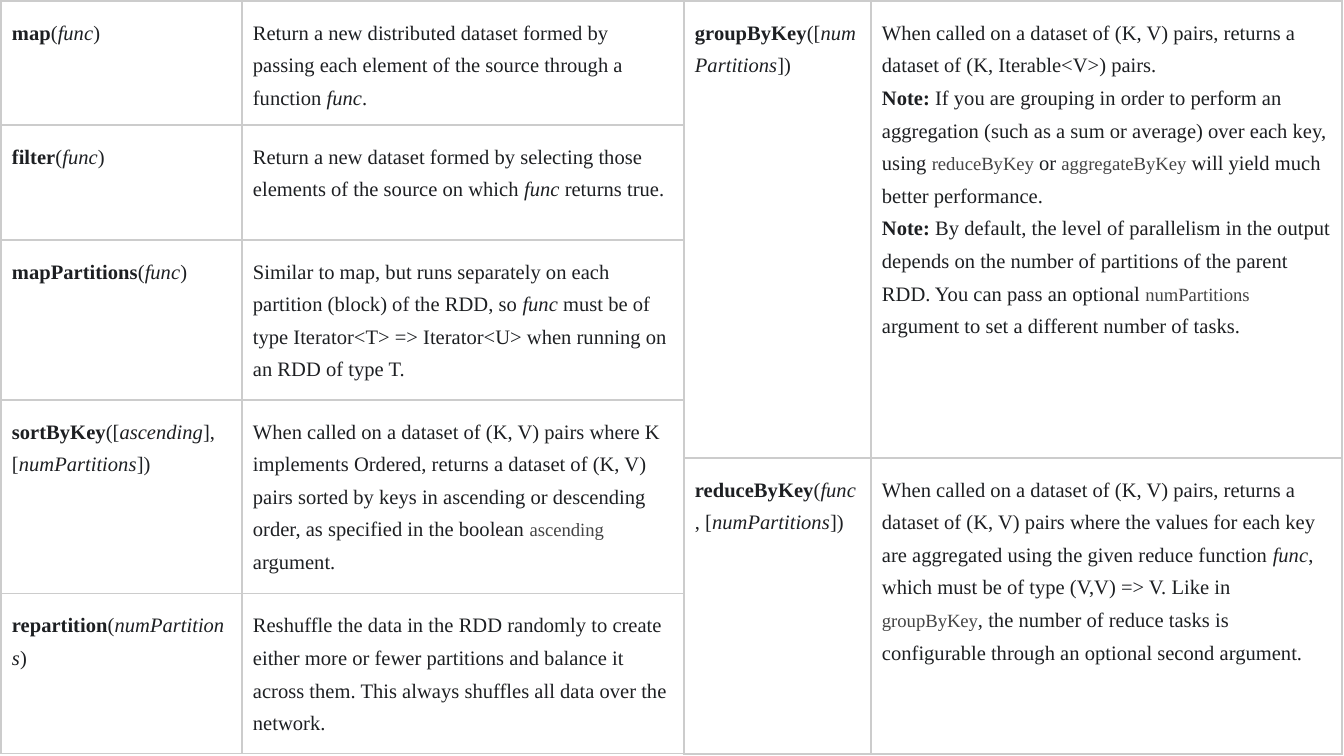
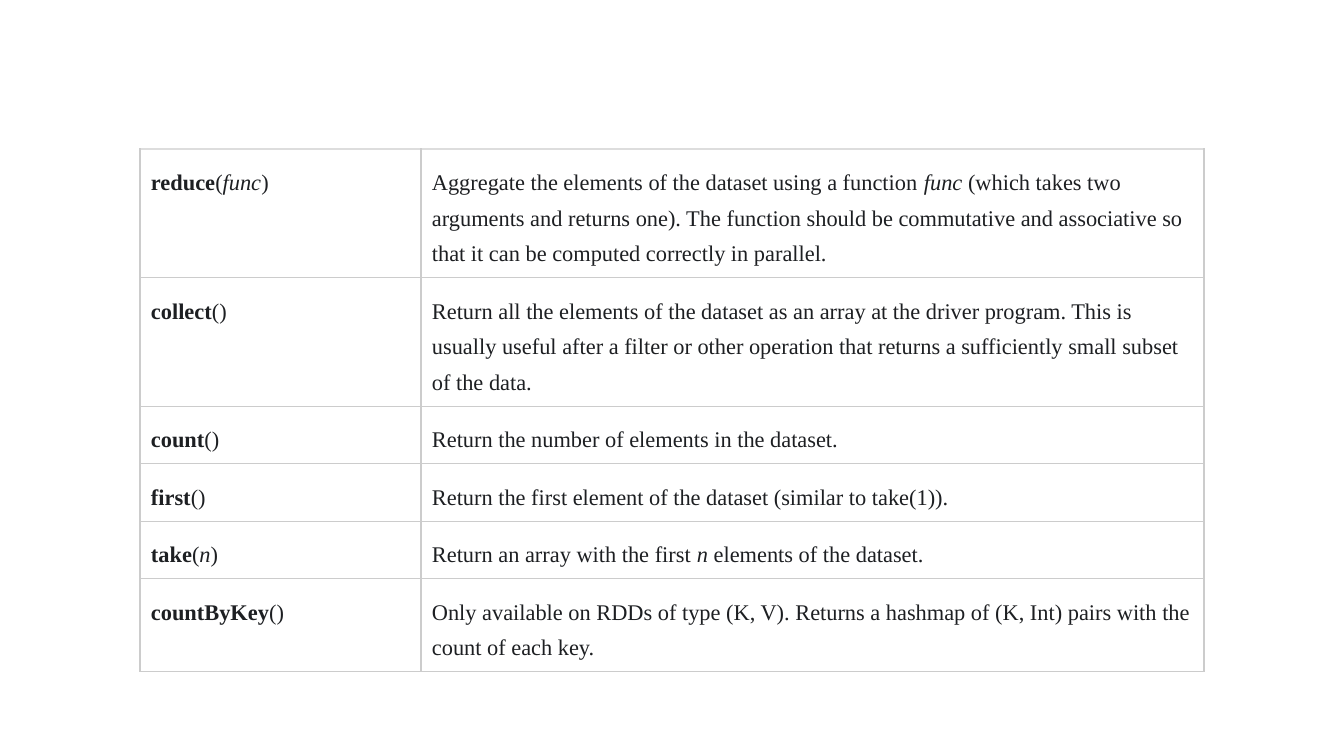
import lxml.etree
import pptx
import pptx.dml.color
import pptx.oxml.ns
import pptx.util

PX = 914400 / 134.4
FONT = "Times New Roman"
COLORS = {"text": "1D1F22", "code": "444444", "border": "CCCCCC", "top": "DDDDDD"}
MARKS = {"*": "bold", "_": "italic", "`": "code"}
CELL_MARGIN = 11
LINE_SPACING = 1.43
BORDER_POINTS = 0.75

# In the texts, * marks bold, _ italic and ` code.
BASIC_TRANSFORMS = [
    ("*map*(_func_)",
     "Return a new distributed dataset formed by passing each element of the source "
     "through a function _func_."),
    ("*filter*(_func_)",
     "Return a new dataset formed by selecting those elements of the source on which "
     "_func_ returns true."),
    ("*mapPartitions*(_func_)",
     "Similar to map, but runs separately on each partition (block) of the RDD, so "
     "_func_ must be of type Iterator<T> => Iterator<U> when running on an RDD of type T."),
    ("*sortByKey*([_ascending_], [_numPartitions_])",
     "When called on a dataset of (K, V) pairs where K implements Ordered, returns a "
     "dataset of (K, V) pairs sorted by keys in ascending or descending order, as "
     "specified in the boolean `ascending` argument."),
    ("*repartition*(_numPartitions_)",
     "Reshuffle the data in the RDD randomly to create either more or fewer partitions "
     "and balance it across them. This always shuffles all data over the network."),
]
KEY_TRANSFORMS = [
    ("*groupByKey*([_numPartitions_])",
     "When called on a dataset of (K, V) pairs, returns a dataset of (K, Iterable<V>) "
     "pairs.\n"
     "*Note:* If you are grouping in order to perform an aggregation (such as a sum or "
     "average) over each key, using `reduceByKey` or `aggregateByKey` will yield much "
     "better performance.\n"
     "*Note:* By default, the level of parallelism in the output depends on the number "
     "of partitions of the parent RDD. You can pass an optional `numPartitions` argument "
     "to set a different number of tasks."),
    ("*reduceByKey*(_func_, [_numPartitions_])",
     "When called on a dataset of (K, V) pairs, returns a dataset of (K, V) pairs where "
     "the values for each key are aggregated using the given reduce function _func_, "
     "which must be of type (V,V) => V. Like in `groupByKey`, the number of reduce tasks "
     "is configurable through an optional second argument."),
]
ACTIONS = [
    ("*reduce*(_func_)",
     "Aggregate the elements of the dataset using a function _func_ (which takes two "
     "arguments and returns one). The function should be commutative and associative so "
     "that it can be computed correctly in parallel."),
    ("*collect*()",
     "Return all the elements of the dataset as an array at the driver program. This is "
     "usually useful after a filter or other operation that returns a sufficiently small "
     "subset of the data."),
    ("*count*()", "Return the number of elements in the dataset."),
    ("*first*()", "Return the first element of the dataset (similar to take(1))."),
    ("*take*(_n_)", "Return an array with the first _n_ elements of the dataset."),
    ("*countByKey*()",
     "Only available on RDDs of type (K, V). Returns a hashmap of (K, Int) pairs with "
     "the count of each key."),
]


def px(length):
    return pptx.util.Emu(round(length * PX))


def split_marks(text):
    """Yield (span text, style) pairs from marked text."""
    style, start = "plain", 0
    for index, letter in enumerate(text):
        if letter in MARKS:
            if index > start:
                yield text[start:index], style
            style = MARKS[letter] if style == "plain" else "plain"
            start = index + 1
    if start < len(text):
        yield text[start:], style


def write_text(frame, text, *, size, color="text", spacing=LINE_SPACING):
    for index, line in enumerate(text.split("\n")):
        para = frame.add_paragraph() if index else frame.paragraphs[0]
        para.line_spacing = spacing
        for words, style in split_marks(line):
            span = para.add_run()
            span.text = words
            font = span.font
            font.name = FONT
            font.size = pptx.util.Pt(size - 1 if style == "code" else size)
            font.bold = style == "bold"
            font.italic = style == "italic"
            shade = COLORS["code" if style == "code" else color]
            font.color.rgb = pptx.dml.color.RGBColor.from_string(shade)


def set_borders(cell, top):
    properties = cell._tc.get_or_add_tcPr()
    qn = pptx.oxml.ns.qn
    for side in "LRTB":
        line = lxml.etree.SubElement(properties, qn(f"a:ln{side}"))
        line.set("w", str(pptx.util.Pt(BORDER_POINTS)))
        fill = lxml.etree.SubElement(line, qn("a:solidFill"))
        color = COLORS[top if side == "T" else "border"]
        lxml.etree.SubElement(fill, qn("a:srgbClr")).set("val", color)


def add_function_table(page, entries, box, columns, rows, *, size, top="border"):
    """Place a two-column table of signatures and descriptions in box."""
    frame = page.shapes.add_table(len(entries), len(columns), *map(px, box))
    table = frame.table
    table.first_row = table.horz_banding = False
    for column, width in zip(table.columns, columns):
        column.width = px(width)
    for index, (entry, height) in enumerate(zip(entries, rows)):
        table.rows[index].height = px(height)
        for cell, text in zip(table.rows[index].cells, entry):
            cell.margin_left = cell.margin_right = px(CELL_MARGIN)
            cell.margin_top = cell.margin_bottom = px(CELL_MARGIN)
            set_borders(cell, "border" if index else top)
            cell.fill.background()
            write_text(cell.text_frame, text, size=size)
    frame.height = px(box[3])


def add_transforms(page):
    add_function_table(page, BASIC_TRANSFORMS, (1, 1, 683, 753), (241, 442),
                       (124, 115, 160, 194, 160), size=11)
    add_function_table(page, KEY_TRANSFORMS, (684, 1, 658, 753), (187, 471),
                       (457, 296), size=11)


def add_actions(page):
    """Place the actions; the rows grow to hold their text."""
    add_function_table(page, ACTIONS, (140, 149, 1064, 531), (281, 783),
                       [57] * len(ACTIONS), size=12, top="top")


def main():
    deck = pptx.Presentation()
    deck.slide_width, deck.slide_height = px(1344), px(756)
    for fill_page in (add_transforms, add_actions):
        fill_page(deck.slides.add_slide(deck.slide_layouts[6]))
    deck.save("out.pptx")


if __name__ == "__main__":
    main()
